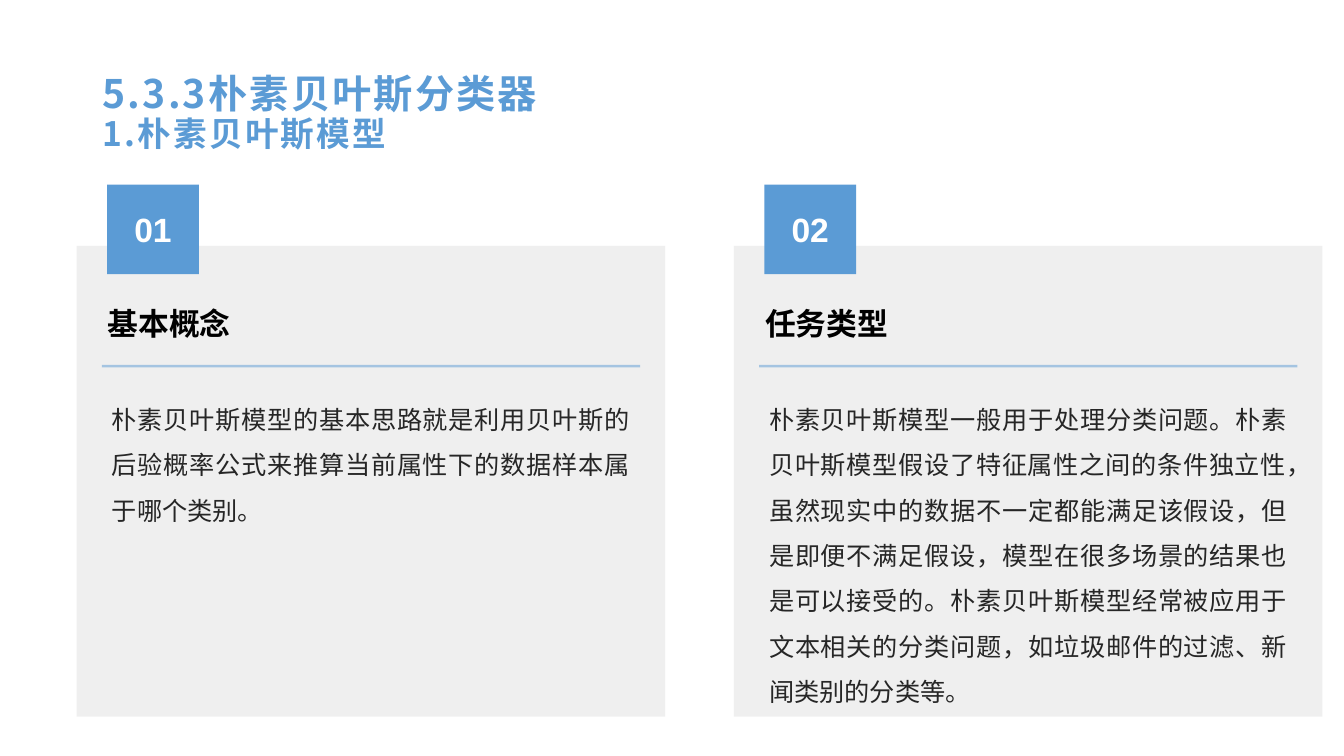
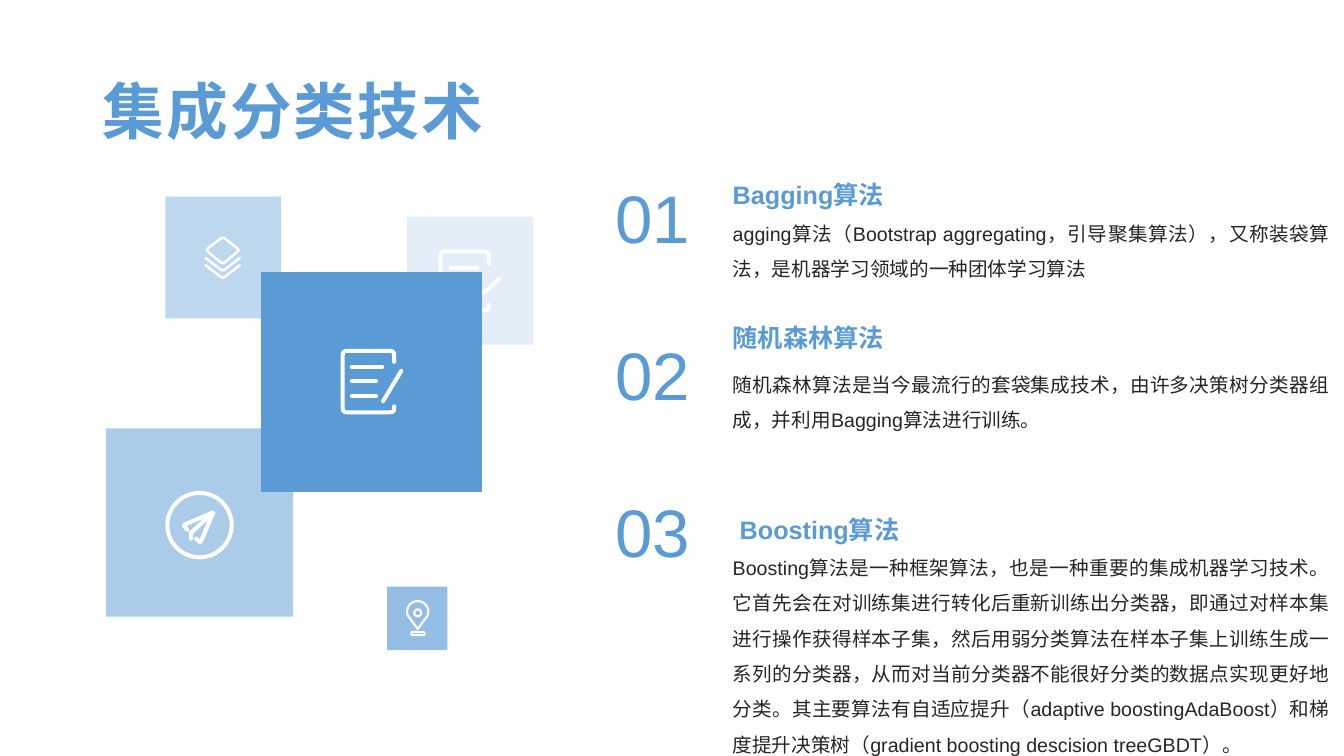
from math import cos, radians, sin

from lxml.etree import SubElement
from pptx import Presentation
from pptx.dml.color import RGBColor
from pptx.enum.shapes import MSO_CONNECTOR as Connector, MSO_SHAPE as Shape
from pptx.enum.text import MSO_ANCHOR as Anchor, PP_ALIGN as Align
from pptx.oxml.ns import qn
from pptx.util import Pt

COLORS = {"blue": "5B9BD5", "gray": "999999", "ink": "262626",
          "black": "000000", "white": "FFFFFF"}
CJK = "Noto Sans CJK SC"
LINE_HEIGHT = 1.2  # single line height relative to the text size

# Content
MODEL_TITLE = [("5.3.3朴素贝叶斯分类器", 28), ("1.朴素贝叶斯模型", 24)]
MODEL_CARDS = [
    ("基本概念",
     "朴素贝叶斯模型的基本思路就是利用贝叶斯的后验概率公式来推算当前属性下的数据样本属于哪个类别。"),
    ("任务类型",
     "朴素贝叶斯模型一般用于处理分类问题。朴素贝叶斯模型假设了特征属性之间的条件独立性，"
     "虽然现实中的数据不一定都能满足该假设，但是即便不满足假设，模型在很多场景的结果也是可以接受的。"
     "朴素贝叶斯模型经常被应用于文本相关的分类问题，如垃圾邮件的过滤、新闻类别的分类等。"),
]
ENSEMBLE_TITLE = [("集成分类技术", 44)]
# heading, body, heading top, body top, body height
ALGORITHMS = [
    ("Bagging算法",
     "agging算法（Bootstrap aggregating，引导聚集算法），又称装袋算法，"
     "是机器学习领域的一种团体学习算法", 119.5, 149.8, 60.5),
    ("随机森林算法",
     "随机森林算法是当今最流行的套袋集成技术，由许多决策树分类器组成，并利用Bagging算法进行训练。",
     221.8, 257.8, 112.3),
    (" Boosting算法",
     "Boosting算法是一种框架算法，也是一种重要的集成机器学习技术。它首先会在对训练集进行转化后"
     "重新训练出分类器，即通过对样本集进行操作获得样本子集，然后用弱分类算法在样本子集上训练生成一系列"
     "的分类器，从而对当前分类器不能很好分类的数据点实现更好地分类。其主要算法有自适应提升"
     "（adaptive boostingAdaBoost）和梯度提升决策树（gradient boosting descision treeGBDT）。",
     358.6, 388.8, 151.2),
]


def page_outline(left, top, right, bottom, upper_end, lower_end):
    return [(right, upper_end), (right, top), (left, top), (left, bottom),
            (right, bottom), (right, lower_end)]


def pin_outline(x, y, radius, tip):
    arc = [(x + radius * cos(radians(a)), y + radius * sin(radians(a)))
           for a in range(160, 381, 10)]
    return arc + [(x, tip)]


# Tiles with icons; strokes are (points, corner radius, closed), from the tile corner
TILES = [
    {"box": (290.9, 154.8, 90, 91.4), "alpha": 16, "pen": 2.7, "strokes": [
        (page_outline(23.7, 24.8, 58.3, 67, 33.8, 62.6), 3, False),
        ([(30.9, 36.4), (50.4, 36.4)], 0, False),
        ([(49.7, 50.4), (54.7, 54.7), (66.2, 43.9)], 0, False)]},
    {"box": (276.5, 419, 43.2, 45.4), "alpha": 65, "pen": 1.5,
     "rings": [(21.9, 18.8, 2.5)], "strokes": [
        (pin_outline(21.9, 18, 7.6, 30.3), 0, True),
        ([(17.3, 32.4), (26.7, 32.4), (26.7, 34.6), (17.3, 34.6)], 1, True)]},
    {"box": (75.6, 306, 133.9, 134.6), "alpha": 51, "pen": 2.9,
     "rings": [(66.9, 69.1, 23)], "strokes": [
        ([(60.8, 74.5), (75.6, 61.2)], 0, False),
        ([(58.3, 72.4), (55.4, 69.1), (77, 59.8), (67.7, 81.4), (64.4, 78.8)], 1, False),
        ([(60.5, 74.5), (60.5, 78.8)], 0, False)]},
    {"box": (118.1, 140.4, 82.8, 87.1), "alpha": 40, "pen": 1.8, "strokes": [
        ([(41, 28.8), (53, 38.2), (41, 48.2), (29, 38.2)], 2, True),
        ([(28.8, 43.9), (41, 53.3), (53.2, 43.9)], 2, False),
        ([(28.8, 49.1), (41, 58.5), (53.2, 49.1)], 2, False)]},
    {"box": (186.5, 194.4, 157.7, 157), "alpha": 100, "pen": 2.9, "strokes": [
        (page_outline(58.3, 56.2, 95, 100.1, 64.1, 95.8), 3, False),
        ([(64.8, 67.7), (86.4, 67.7)], 0, False),
        ([(64.8, 77.8), (82.1, 77.8)], 0, False),
        ([(64.8, 88.6), (82.1, 88.6)], 0, False),
        ([(87.1, 92.2), (100.1, 70.6)], 0, False)]},
]


# Shared helpers
def rgb(name):
    return RGBColor.from_string(COLORS[name])


def set_alpha(element, percent):
    if percent < 100:
        color = next(element.iter(qn("a:srgbClr")))
        SubElement(color, qn("a:alpha"), val=str(percent * 1000))


def write(shape, lines, color, align=Align.LEFT, anchor=Anchor.TOP, bold=False,
          font="Arial", spacing=1.0, tracking=0, inset=(0, 0)):
    """Fill a shape with one paragraph per (text, size) pair."""
    frame = shape.text_frame
    side, edge = inset
    for name, value in {"word_wrap": True, "vertical_anchor": anchor,
                        "margin_left": Pt(side), "margin_right": Pt(side),
                        "margin_top": Pt(edge), "margin_bottom": Pt(edge)}.items():
        setattr(frame, name, value)
    for index, (text, size) in enumerate(lines):
        paragraph = frame.add_paragraph() if index else frame.paragraphs[0]
        paragraph.alignment = align
        paragraph.line_spacing = Pt(size * LINE_HEIGHT * spacing)
        run = paragraph.add_run()
        run.text = text
        for name, value in {"name": font, "size": Pt(size), "bold": bold}.items():
            setattr(run.font, name, value)
        run.font.color.rgb = rgb(color)
        props = run._r.get_or_add_rPr()
        SubElement(props, qn("a:ea"), typeface=CJK)
        if tracking:
            props.set("spc", str(round(tracking * 100)))


def add_text(slide, box, lines, color, **style):
    write(slide.shapes.add_textbox(*map(Pt, box)), lines, color, **style)


def add_block(slide, box, color, alpha=100):
    block = slide.shapes.add_shape(Shape.RECTANGLE, *map(Pt, box))
    block.shadow.inherit = False
    block.fill.solid()
    block.fill.fore_color.rgb = rgb(color)
    block.line.fill.background()
    set_alpha(block._element.spPr, alpha)
    return block


def add_line(slide, start, end):
    line = slide.shapes.add_connector(Connector.STRAIGHT, *map(Pt, (*start, *end)))
    return line


def style_line(line, color, width, alpha=100):
    line.line.color.rgb = rgb(color)
    line.line.width = Pt(width)
    set_alpha(line.line._get_or_add_ln(), alpha)
    properties = line._element.spPr
    if properties.find(qn("a:effectLst")) is None:
        SubElement(properties, qn("a:effectLst"))


def new_slide(deck, title):
    slide = deck.slides.add_slide(deck.slide_layouts[6])
    add_text(slide, (66.2, 28.8, 828, 104.4), title, "blue", anchor=Anchor.MIDDLE,
             bold=True, font=CJK, spacing=0.9, tracking=1.6, inset=(7.2, 3.6))
    return slide


# Icons
def round_corners(points, radius, closed):
    """Replace each inner corner by a short quadratic curve."""
    if not radius:
        return points
    result = []
    for i, (x, y) in enumerate(points):
        if not closed and i in (0, len(points) - 1):
            result.append((x, y))
            continue
        ends = []
        for px, py in (points[i - 1], points[(i + 1) % len(points)]):
            length = ((px - x) ** 2 + (py - y) ** 2) ** 0.5
            share = min(radius / length, 0.5)
            ends.append((x + (px - x) * share, y + (py - y) * share))
        (ax, ay), (bx, by) = ends
        for t in (0, 0.25, 0.5, 0.75, 1):
            a, m, b = (1 - t) ** 2, 2 * t * (1 - t), t ** 2
            result.append((a * ax + m * x + b * bx, a * ay + m * y + b * by))
    return result


def add_icon(slide, tile):
    left, top = tile["box"][:2]
    parts = []
    for x, y, radius in tile.get("rings", []):
        parts.append(slide.shapes.add_shape(Shape.OVAL, *map(Pt, (
            left + x - radius, top + y - radius, 2 * radius, 2 * radius))))
    for points, radius, closed in tile["strokes"]:
        placed = [(left + x, top + y) for x, y in round_corners(points, radius, closed)]
        if len(placed) == 2:
            parts.append(add_line(slide, *placed))
            continue
        spots = [(Pt(x), Pt(y)) for x, y in placed]
        builder = slide.shapes.build_freeform(*spots[0])
        builder.add_line_segments(spots[1:], close=closed)
        parts.append(builder.convert_to_shape())
    for part in parts:
        if hasattr(part, "fill"):
            part.fill.background()
        style_line(part, "white", tile["pen"])
        outline = part.line._get_or_add_ln()
        outline.set("cap", "rnd")
        SubElement(outline, qn("a:round"))


# Slides
def build_model(deck):
    slide = new_slide(deck, MODEL_TITLE)
    for index, (heading, body) in enumerate(MODEL_CARDS):
        left = 54.7 + index * 469.5
        add_block(slide, (left, 175.7, 420.5, 336.2), "gray", 15)
        add_text(slide, (left + 25.2, 277.9, 370.1, 180.7), [(body, 18)], "ink",
                 align=Align.JUSTIFY, spacing=1.5)
        badge = add_block(slide, (left + 21.8, 131.8, 65.5, 64.1), "blue")
        write(badge, [(f"{index + 1:02}", 24)], "white", align=Align.CENTER,
              anchor=Anchor.MIDDLE, bold=True)
        rule = add_line(slide, (left + 18, 261.5), (left + 402.5, 261.5))
        style_line(rule, "blue", 1.75, 50)
        add_text(slide, (left + 22.3, 212.4, 370.1, 36.7), [(heading, 22)], "black",
                 anchor=Anchor.MIDDLE, bold=True, font="Calibri")


def build_ensemble(deck):
    slide = new_slide(deck, ENSEMBLE_TITLE)
    for tile in TILES:
        add_block(slide, tile["box"], "blue", tile["alpha"])
        add_icon(slide, tile)
    for index, (heading, body, heading_top, body_top, height) in enumerate(ALGORITHMS):
        add_text(slide, (420.5, 120.2 + index * 112.3, 91.4, 68.4),
                 [(f"{index + 1:02}", 48)], "blue", align=Align.CENTER,
                 anchor=Anchor.MIDDLE)
        add_text(slide, (523.4, heading_top, 426.2, 30.2), [(heading, 18)], "blue",
                 align=Align.JUSTIFY, anchor=Anchor.BOTTOM, bold=True)
        add_text(slide, (523.4, body_top, 426.2, height), [(body, 14)], "ink",
                 align=Align.JUSTIFY, spacing=1.5)


def main():
    deck = Presentation()
    deck.slide_width, deck.slide_height = Pt(960), Pt(540)
    build_model(deck)
    build_ensemble(deck)
    deck.save("out.pptx")


if __name__ == "__main__":
    main()
